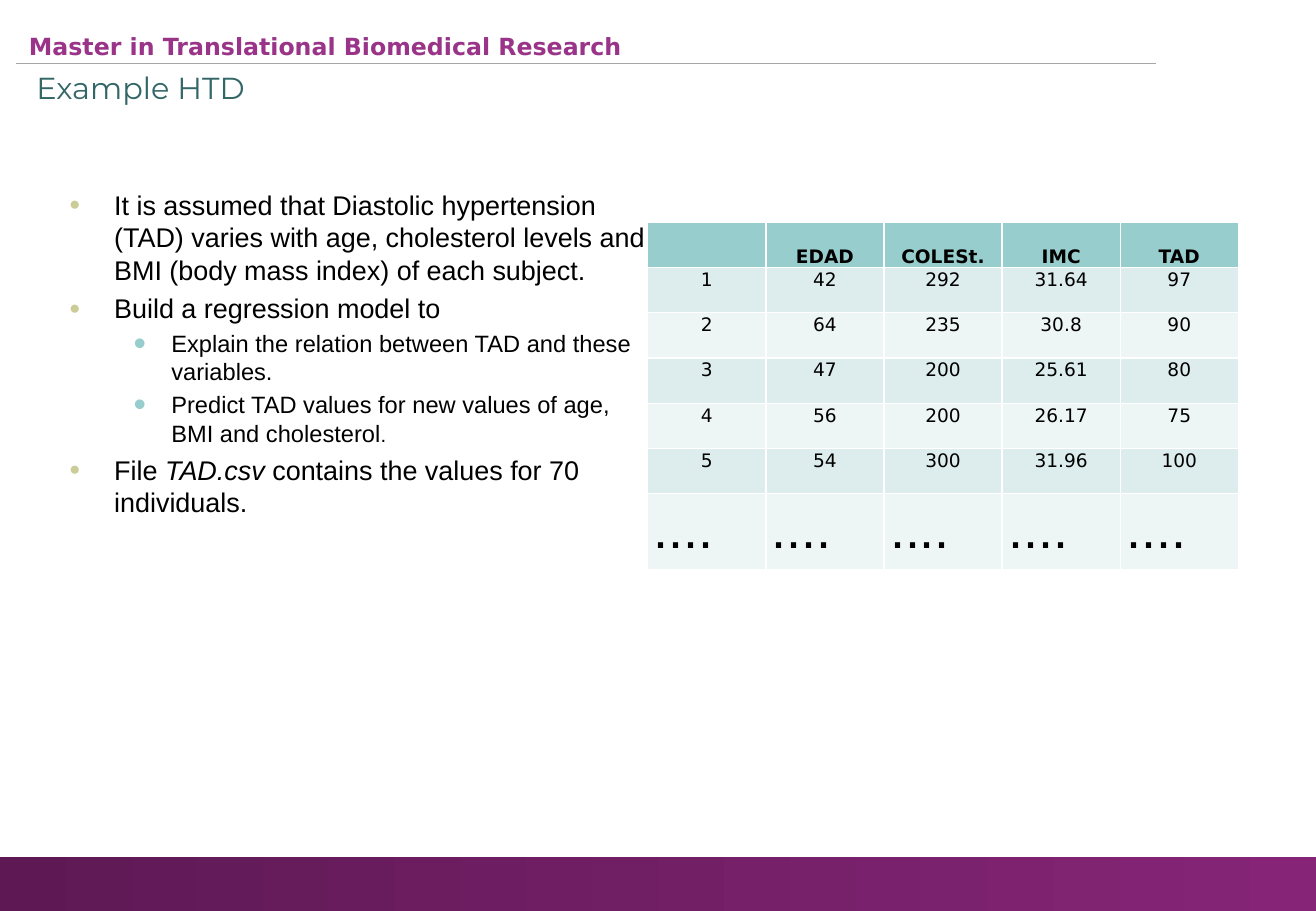
from lxml import etree
from pptx import Presentation
from pptx import util as u
from pptx.dml import color
from pptx.enum import shapes, text
from pptx.oxml import ns

COLORS = {
    "band_start": "5E1954", "band_end": "862577", "rule": "A6A6A6",
    "program": "993489", "title": "336666", "ink": "000000", "white": "FFFFFF",
    "sand": "CCCC99", "teal": "97CDCC", "odd_row": "DDECEC", "even_row": "EEF6F5",
}
# Bullet styles by level: character, colour, size %, indent, hanging, space before
BULLETS = [("●", "sand", 70, 0.47, 0.37, 3.6), ("•", "teal", 150, 0.94, 0.31, 2.9)]


def rgb(name):
    return color.RGBColor.from_string(COLORS[name])


def add_xml(parent, tag, **attributes):
    return etree.SubElement(parent, ns.qn(tag), attributes)


def write(paragraph, content, size=11, font="DejaVu Sans", ink="ink", bold=False,
          italic=False, align=None, line=None):
    """Add one formatted run to a paragraph."""
    run = paragraph.add_run()
    run.text = content
    run.font.size, run.font.name = u.Pt(size), font
    run.font.bold, run.font.italic = bold, italic
    run.font.color.rgb = rgb(ink)
    if align is not None:
        paragraph.alignment = align
    if line is not None:
        paragraph.line_spacing = line


class SlideBuilder:
    """Places elements on a grid of 100 columns by 100 rows."""

    def __init__(self, presentation):
        self.column = presentation.slide_width / 100
        self.row = presentation.slide_height / 100
        self.slide = presentation.slides.add_slide(presentation.slide_layouts[6])

    def place(self, left, top, width, height):
        return [round(n) for n in (left * self.column, top * self.row,
                                   width * self.column, height * self.row)]

    def band(self, start, end, *box):
        band = self.slide.shapes.add_shape(shapes.MSO_SHAPE.RECTANGLE, *self.place(*box))
        band.shadow.inherit = False
        band.line.fill.background()
        band.fill.gradient()
        band.fill.gradient_angle = 0
        for stop, position, name in zip(band.fill.gradient_stops, (0, 1), (start, end)):
            stop.position, stop.color.rgb = position, rgb(name)

    def rule(self, left, right, top, name, weight):
        ends = self.place(left, top, right, top)
        rule = self.slide.shapes.add_connector(shapes.MSO_CONNECTOR.STRAIGHT, *ends)
        rule.line.color.rgb, rule.line.width = rgb(name), u.Pt(weight)
        add_xml(rule._element.spPr, "a:effectLst")

    def text_frame(self, *box, insets=(0, 0), anchor=text.MSO_ANCHOR.TOP):
        frame = self.slide.shapes.add_textbox(*self.place(*box)).text_frame
        frame.word_wrap, frame.vertical_anchor = True, anchor
        frame.margin_left = frame.margin_right = u.Inches(insets[0])
        frame.margin_top = frame.margin_bottom = u.Inches(insets[1])
        return frame

    def heading(self, content, *box, insets=(0, 0), anchor=text.MSO_ANCHOR.TOP, **style):
        frame = self.text_frame(*box, insets=insets, anchor=anchor)
        write(frame.paragraphs[0], content, **style)

    def bullet_list(self, items, *box):
        frame = self.text_frame(*box)
        for index, (level, runs) in enumerate(items):
            paragraph = frame.add_paragraph() if index else frame.paragraphs[0]
            mark, name, scale, indent, hanging, before = BULLETS[level]
            paragraph.level, paragraph.space_before = level, u.Pt(before)
            props = paragraph._p.get_or_add_pPr()
            props.set("marL", str(u.Inches(indent)))
            props.set("indent", str(-u.Inches(hanging)))
            add_xml(add_xml(props, "a:buClr"), "a:srgbClr", val=COLORS[name])
            add_xml(props, "a:buSzPct", val=str(scale * 1000))
            add_xml(props, "a:buFont", typeface="Arial")
            add_xml(props, "a:buChar", char=mark)
            for content, style in runs:
                write(paragraph, content, font="Arial", **{"size": 16 - 2 * level, **style})

    def table(self, rows, left, top, width, row_height, last_height):
        height = row_height * (len(rows) - 1) + last_height
        frame = self.slide.shapes.add_table(
            len(rows), len(rows[0]), *self.place(left, top, width, height))
        for r, values in enumerate(rows):
            last = r == len(rows) - 1
            frame.table.rows[r].height = round(
                (last_height if last else row_height) * self.row)
            for c, value in enumerate(values):
                self.cell(frame.table.cell(r, c), value, r, last)

    def cell(self, cell, value, row, last):
        fill = "teal" if row == 0 else "odd_row" if row % 2 else "even_row"
        cell.fill.solid()
        cell.fill.fore_color.rgb = rgb(fill)
        insets = (0.05, 0.08, 0.05, 0.05) if last else (0.01, 0.01, 0.01, 0)
        (cell.margin_left, cell.margin_top,
         cell.margin_right, cell.margin_bottom) = map(u.Inches, insets)
        cell.vertical_anchor = text.MSO_ANCHOR.TOP if row else text.MSO_ANCHOR.BOTTOM
        if last:
            style = dict(size=32, font="Arial", line=0.93)
        else:
            style = dict(bold=row == 0, align=text.PP_ALIGN.CENTER, line=1.02)
        write(cell.text_frame.paragraphs[0], value, **style)
        # Borders come before the fill in the cell properties
        props = cell._tc.get_or_add_tcPr()
        for index, side in enumerate("LRTB"):
            border = add_xml(props, "a:ln" + side, w=str(u.Pt(0.96)))
            add_xml(add_xml(border, "a:solidFill"), "a:srgbClr", val=COLORS["white"])
            props.insert(index, border)


def main():
    presentation = Presentation()
    presentation.slide_width, presentation.slide_height = u.Inches(10.83), u.Inches(7.5)
    example = SlideBuilder(presentation)

    # Footer band and header
    example.band("band_start", "band_end", 0, 94.13, 100, 5.87)
    example.rule(1.2, 87.81, 6.93, "rule", 0.75)
    example.heading("Master in Translational Biomedical Research", 1.29, 2.8, 64.73, 4.4,
                    insets=(0.1, 0.05), size=14, ink="program", bold=True)
    example.heading("Example HTD", 2.77, 3.73, 93.72, 11.73, anchor=text.MSO_ANCHOR.MIDDLE,
                    size=18, font="Montserrat", ink="title")

    # Problem statement
    statement = [
        (0, [("It is assumed that Diastolic hypertension (TAD) varies with age, "
              "cholesterol levels and BMI (body mass index) of each subject.", {})]),
        (0, [("Build a regression model to", {})]),
        (1, [("Explain the relation between TAD and these variables.", {})]),
        (1, [("Predict TAD values for new values of age, BMI and cholesterol", {}),
             (".", {"size": 12})]),
        (0, [("File ", {}), ("TAD.csv ", {"italic": True}),
             ("contains the values for 70 individuals.", {})]),
    ]
    example.bullet_list(statement, 4.34, 20.67, 44.88, 42)

    # First subjects of the data file
    subjects = [
        ["", "EDAD", "COLESt.", "IMC", "TAD"],
        ["1", "42", "292", "31.64", "97"],
        ["2", "64", "235", "30.8", "90"],
        ["3", "47", "200", "25.61", "80"],
        ["4", "56", "200", "26.17", "75"],
        ["5", "54", "300", "31.96", "100"],
        ["...."] * 5,
    ]
    example.table(subjects, 49.22, 24.4, 44.88, 4.97, 7.95)
    presentation.save("out.pptx")


if __name__ == "__main__":
    main()
